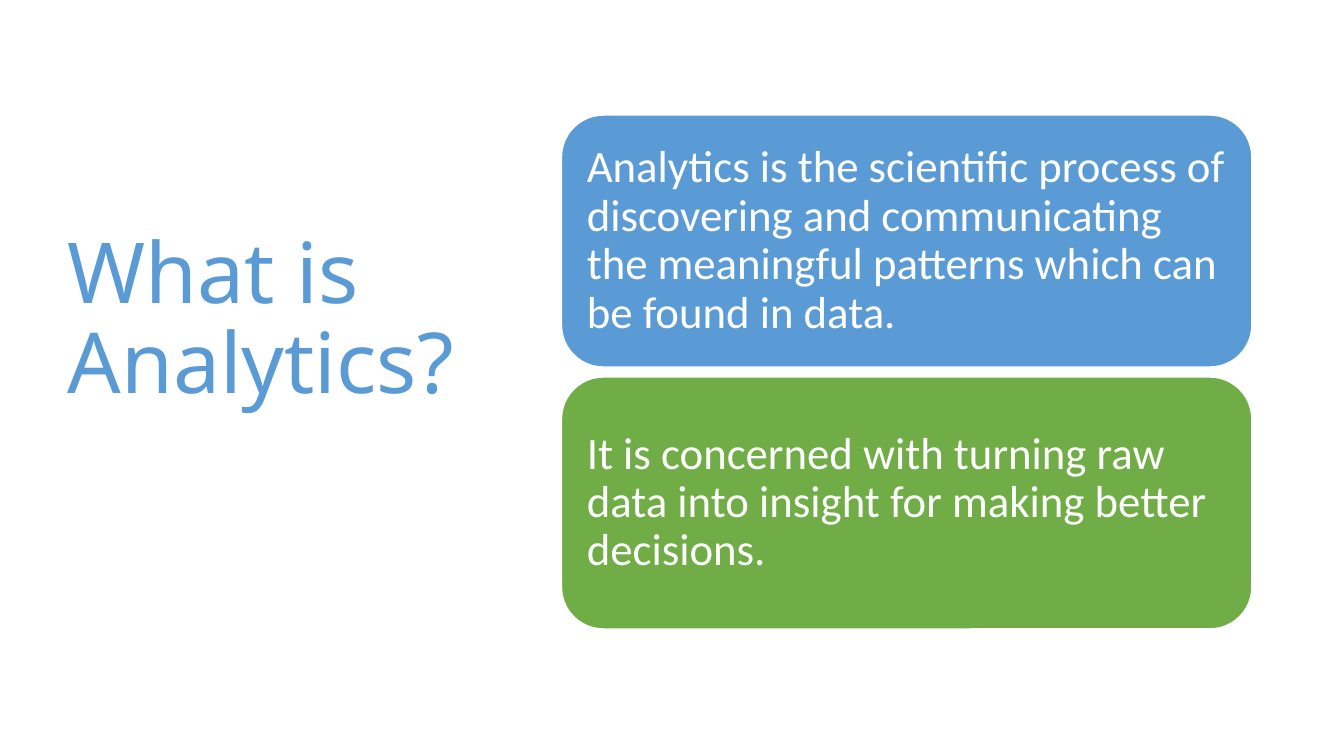
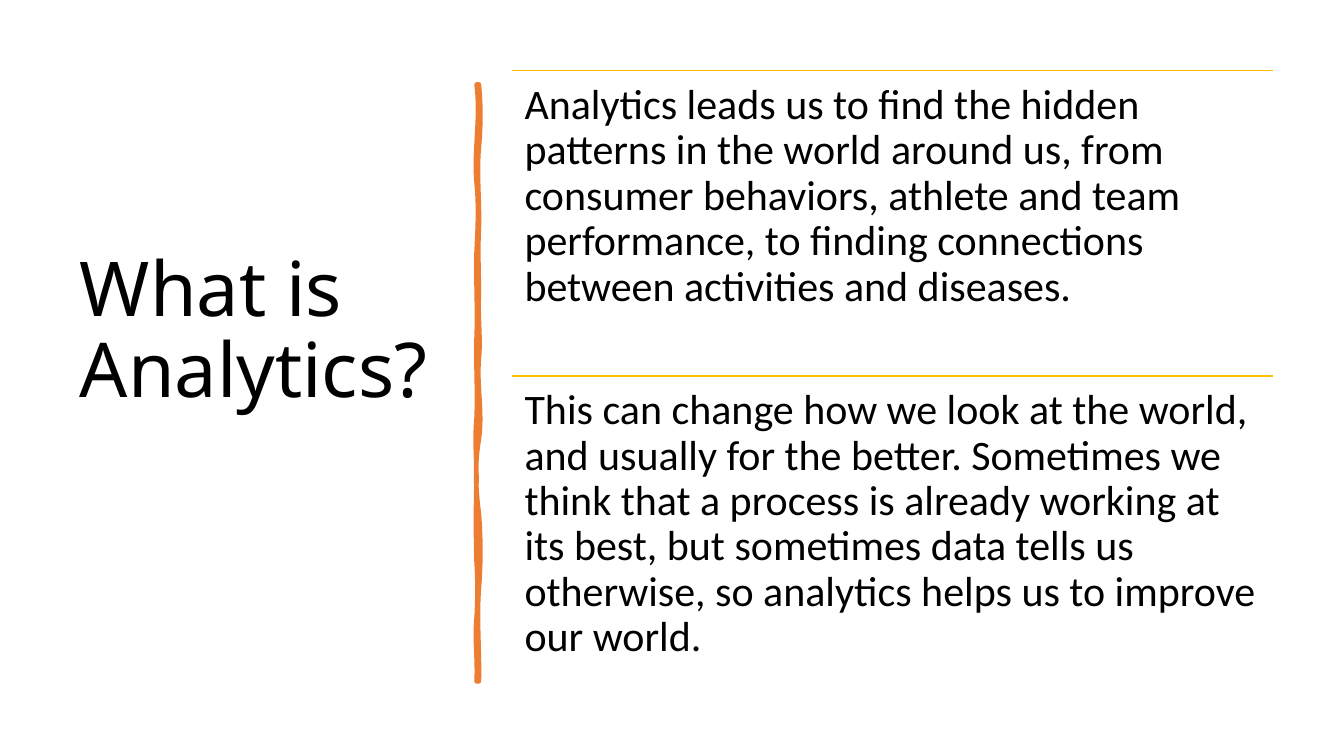
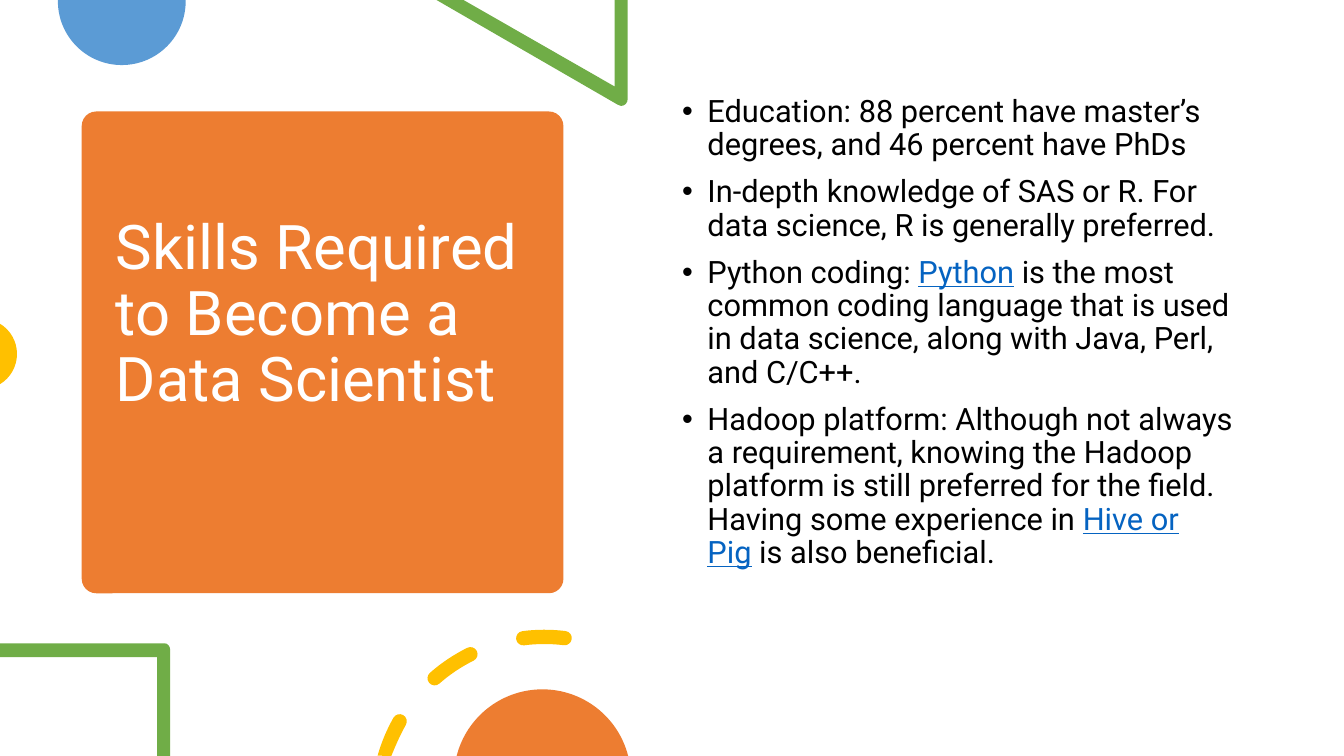
import math
from dataclasses import dataclass

import lxml.etree
import pptx
import pptx.dml.color
import pptx.enum.shapes
import pptx.enum.text
import pptx.oxml.ns
import pptx.util

Cm = pptx.util.Cm
Pt = pptx.util.Pt
qualified = pptx.oxml.ns.qn
Point = tuple[float, float]
Segment = list[Point]

BLUE, GREEN, ORANGE, YELLOW = "5B9BD5", "70AD47", "ED7D31", "FFC000"
BLACK, WHITE, LINK = "000000", "FFFFFF", "0563C1"
SLIDE_WIDTH, SLIDE_HEIGHT = 33.87, 19.05
FIXED_SPACE = chr(160)


@dataclass(frozen=True)
class Frame:
    left: float
    top: float
    width: float
    height: float

    def lengths(self) -> tuple:
        return Cm(self.left), Cm(self.top), Cm(self.width), Cm(self.height)


@dataclass(frozen=True)
class Style:
    font: str
    size: float
    color: str


@dataclass(frozen=True)
class Card:
    text: str
    color: str


@dataclass(frozen=True)
class Words:
    text: str
    linked: bool = False


@dataclass(frozen=True)
class Wave:
    first_x: float
    second_x: float
    end_x: float
    end_y: float


@dataclass(frozen=True)
class Contour:
    start: Point
    segments: list[Segment]


@dataclass(frozen=True)
class Disc:
    center: Point
    radius: float
    start: float
    end: float
    color: str


@dataclass(frozen=True)
class Dash:
    start: float
    end: float
    clipped: bool = False


CARDS = [
    Card("Analytics is the scientific process of discovering and communicating "
         "the meaningful patterns which can be found in data.", BLUE),
    Card("It is concerned with turning raw data into insight for making better "
         "decisions.", GREEN),
]
STATEMENTS = [
    "Analytics leads us to find the hidden patterns in the world around us, from "
    "consumer behaviors, athlete and team performance, to finding connections "
    "between activities and diseases.",
    "This can change how we look at the world, and usually for the better. "
    "Sometimes we think that a process is already working at its best, but "
    "sometimes data tells us otherwise, so analytics helps us to improve our world.",
]
SKILLS = [
    [Words("Education: 88 percent have master’s degrees, and 46 percent have PhDs")],
    [Words("In-depth knowledge of SAS or R. For data science, R is generally "
           "preferred.")],
    [Words("Python coding:" + FIXED_SPACE), Words("Python", True),
     Words(FIXED_SPACE + "is the most common coding language that is used in data "
           "science, along with Java, Perl, and C/C++.")],
    [Words("Hadoop platform: Although not always a requirement, knowing the Hadoop "
           "platform is still preferred for the field. Having some experience in"
           + FIXED_SPACE),
     Words("Hive or Pig", True), Words(FIXED_SPACE + "is also beneficial.")],
]
BAR_START = (12.07, 2.13)
BAR_WAVES = [
    Wave(12.12, 12.12, 12.07, 3.71),
    Wave(12.01, 12.09, 12.07, 5.74),
    Wave(12.04, 12.07, 12.07, 7.47),
    Wave(12.04, 12.12, 12.07, 9.04),
    Wave(12.01, 12.17, 12.07, 11.07),
    Wave(11.96, 11.99, 12.07, 12.95),
    Wave(12.12, 12.12, 12.07, 14.83),
    Wave(12.01, 12.09, 12.07, 17.17),
    Wave(12.05, 12.03, 12.01, 17.17),
    Wave(12.04, 11.96, 12.01, 15.57),
    Wave(12.04, 12.04, 12.01, 14.15),
    Wave(11.99, 11.99, 12.01, 12.12),
    Wave(12.01, 11.96, 12.01, 10.54),
    Wave(12.04, 11.99, 12.01, 8.51),
    Wave(12.04, 11.99, 12.01, 6.35),
    Wave(12.04, 12.07, 12.01, 4.6),
    Wave(11.94, 12.12, 12.01, 2.13),
]
TRIANGLE = Contour((15.82, 0), [
    [(15.49, 0)], [(15.49, 2.18)], [(11.68, 0)], [(11, 0)], [(15.57, 2.64)],
    [(15.6, 2.67), (15.62, 2.67), (15.65, 2.67)],
    [(15.75, 2.67), (15.82, 2.59), (15.82, 2.49)],
])
CORNER = Contour((4.14, 16.21), [
    [(0, 16.21)], [(0, 16.56)], [(3.96, 16.56)], [(3.96, SLIDE_HEIGHT)],
    [(4.29, SLIDE_HEIGHT)], [(4.29, 16.38)],
    [(4.29, 16.28), (4.22, 16.21), (4.14, 16.21)],
])
DISCS = [
    Disc((3.07, 0.03), 1.61, -1.07, 181.07, BLUE),
    Disc((-0.46, 8.92), 0.89, -59, 59, YELLOW),
    Disc((13.67, 19.6), 2.23, 194.3, 345.7, ORANGE),
]
RING_CENTER, RING_RADIUS, RING_HALF = (13.72, 20.24), 4.19, 0.18
DASHES = [Dash(195.9, 209.5, True), Dash(228.7, 243.6), Dash(262.7, 277)]


def rgb(color: str) -> pptx.dml.color.RGBColor:
    return pptx.dml.color.RGBColor.from_string(color)


def paint(shape, color: str, line: str = "", width: float = 1) -> None:
    shape.shadow.inherit = False
    shape.fill.solid()
    shape.fill.fore_color.rgb = rgb(color)
    if line:
        shape.line.color.rgb = rgb(line)
        shape.line.width = Pt(width)
    else:
        shape.line.fill.background()


def format_span(span, style: Style) -> None:
    span.font.name = style.font
    span.font.size = Pt(style.size)
    span.font.color.rgb = rgb(style.color)


def write(box, text: str, style: Style, inset: float, middle: bool = False) -> None:
    anchors = pptx.enum.text.MSO_ANCHOR
    frame = box.text_frame
    frame.word_wrap = True
    frame.vertical_anchor = anchors.MIDDLE if middle else anchors.TOP
    frame.margin_left = frame.margin_right = Cm(inset)
    frame.margin_top = frame.margin_bottom = Cm(inset)
    frame.text = text
    para = frame.paragraphs[0]
    para.alignment = pptx.enum.text.PP_ALIGN.LEFT
    para.line_spacing = 0.9
    format_span(para.runs[0], style)


def add_title(page, text: str, frame: Frame, style: Style) -> None:
    box = page.shapes.add_textbox(*frame.lengths())
    write(box, text, style, 0.13, middle=True)
    box.text_frame.paragraphs[0].line_spacing = Pt(style.size * 1.07)
    box.text_frame.margin_left = box.text_frame.margin_right = Cm(0.25)
    box.text_frame.margin_bottom = Cm(0.13) + Pt(style.size * 1.24)


def add_rounded(page, frame: Frame, color: str, line: str = ""):
    kind = pptx.enum.shapes.MSO_SHAPE.ROUNDED_RECTANGLE
    box = page.shapes.add_shape(kind, *frame.lengths())
    paint(box, color, line)
    return box


def bend_segments(outline, segments: list[Segment]) -> None:
    steps = iter(list(outline._element.iter(qualified("a:lnTo"))))
    for segment in segments:
        first, *others = [next(steps) for _ in segment]
        if others:
            curve = lxml.etree.Element(qualified("a:cubicBezTo"))
            first.addprevious(curve)
            for step in (first, *others):
                curve.append(step[0])
                step.getparent().remove(step)


def add_outline(page, contours: list[Contour], color: str):
    builder = page.shapes.build_freeform(*map(Cm, contours[0].start))
    for index, contour in enumerate(contours):
        if index:
            builder.move_to(*map(Cm, contour.start))
        points = [point for segment in contour.segments for point in segment]
        builder.add_line_segments([(Cm(x), Cm(y)) for x, y in points], close=True)
    outline = builder.convert_to_shape()
    bend_segments(outline, [part for contour in contours for part in contour.segments])
    paint(outline, color)
    return outline


def add_rule(page, left: float, top: float, width: float) -> None:
    kind = pptx.enum.shapes.MSO_CONNECTOR.STRAIGHT
    rule = page.shapes.add_connector(kind, Cm(left), Cm(top), Cm(left + width), Cm(top))
    rule.line.color.rgb = rgb(YELLOW)
    rule.line.width = Pt(1)
    lxml.etree.SubElement(rule._element.spPr, qualified("a:effectLst"))


def on_circle(center: Point, radius: float, degrees: float) -> Point:
    angle = math.radians(degrees)
    return (center[0] + radius * math.cos(angle), center[1] + radius * math.sin(angle))


def arc(center: Point, radius: float, start: float, end: float) -> list[Segment]:
    count = math.ceil(abs(end - start) / 95)
    sweep = (end - start) / count
    reach = 4 / 3 * math.tan(math.radians(sweep) / 4)
    segments = []
    for index in range(count):
        first = start + index * sweep
        x1, y1 = on_circle(center, radius, first)
        x2, y2 = on_circle(center, radius, first + sweep)
        segments.append([
            (x1 - reach * (y1 - center[1]), y1 + reach * (x1 - center[0])),
            (x2 + reach * (y2 - center[1]), y2 - reach * (x2 - center[0])),
            (x2, y2),
        ])
    return segments


def dash_contour(dash: Dash) -> Contour:
    outer, inner = RING_RADIUS + RING_HALF, RING_RADIUS - RING_HALF
    first = on_circle(RING_CENTER, RING_RADIUS, dash.start)
    last = on_circle(RING_CENTER, RING_RADIUS, dash.end)
    segments = arc(RING_CENTER, outer, dash.start, dash.end)
    segments += arc(last, RING_HALF, dash.end, dash.end + 180)
    segments += arc(RING_CENTER, inner, dash.end, dash.start)
    if not dash.clipped:
        segments += arc(first, RING_HALF, dash.start + 180, dash.start + 360)
    kept = [[(x, min(y, SLIDE_HEIGHT)) for x, y in part] for part in segments]
    return Contour(on_circle(RING_CENTER, outer, dash.start), kept)


def wave_contour(start: Point, waves: list[Wave]) -> Contour:
    segments, y = [], start[1]
    for wave in waves:
        third = (wave.end_y - y) / 3
        segments.append([(wave.first_x, y + third), (wave.second_x, y + 2 * third),
                         (wave.end_x, wave.end_y)])
        y = wave.end_y
    return Contour(start, segments)


def add_bullets(page, frame: Frame, items: list[list[Words]], style: Style) -> None:
    box = page.shapes.add_textbox(*frame.lengths())
    box.text_frame.word_wrap = True
    for index, item in enumerate(items):
        para = box.text_frame.add_paragraph() if index else box.text_frame.paragraphs[0]
        para.line_spacing = 0.9
        para.space_before = Pt(10)
        properties = para._p.get_or_add_pPr()
        properties.set("marL", str(Cm(0.64)))
        properties.set("indent", str(-Cm(0.64)))
        font = lxml.etree.SubElement(properties, qualified("a:buFont"))
        font.set("typeface", "Arial")
        bullet = lxml.etree.SubElement(properties, qualified("a:buChar"))
        bullet.set("char", "•")
        for words in item:
            span = para.add_run()
            span.text = words.text
            format_span(span, style)
            if words.linked:
                span.font.color.rgb = rgb(LINK)
                span.font.underline = True


def build_definition(page) -> None:
    add_title(page, "What is Analytics?", Frame(1.45, 1.73, 10.57, 15.29),
              Style("Noto Sans", 60, BLUE))
    for index, card in enumerate(CARDS):
        frame = Frame(14.15, 2.9 + index * 6.6, 17.4, 6.35)
        box = add_rounded(page, frame, card.color, WHITE)
        write(box, card.text, Style("Calibri", 32, WHITE), 0.33, middle=True)


def build_purpose(page) -> None:
    add_title(page, "What is Analytics?", Frame(1.76, 1.78, 9.5, 15.52),
              Style("Noto Sans", 54, BLACK))
    bar = add_outline(page, [wave_contour(BAR_START, BAR_WAVES)], ORANGE)
    paint(bar, ORANGE, ORANGE, 3.25)
    lxml.etree.SubElement(bar.line._get_or_add_ln(), qualified("a:round"))
    for index, statement in enumerate(STATEMENTS):
        frame = Frame(12.9, 1.78 + index * 7.69, 19.18, 7.69)
        add_rule(page, frame.left, frame.top, frame.width)
        box = page.shapes.add_textbox(*frame.lengths())
        write(box, statement, Style("Calibri", 30, BLACK), 0.32)


def build_skills(page) -> None:
    panel = add_rounded(page, Frame(2.06, 2.81, 12.14, 12.14), ORANGE)
    panel.adjustments[0] = 0.03
    add_title(page, "Skills Required to Become a Data Scientist",
              Frame(2.67, 3.1, 10.95, 11.58), Style("Roboto", 44, WHITE))
    for disc in DISCS:
        start = on_circle(disc.center, disc.radius, disc.start)
        edge = arc(disc.center, disc.radius, disc.start, disc.end)
        add_outline(page, [Contour(start, edge)], disc.color)
    for contour in (TRIANGLE, CORNER):
        add_outline(page, [contour], GREEN)
    add_outline(page, [dash_contour(dash) for dash in DASHES], YELLOW)
    add_bullets(page, Frame(16.94, 2.29, 14.6, 13.59), SKILLS,
                Style("Roboto", 22, BLACK))


def main() -> None:
    deck = pptx.Presentation()
    deck.slide_width, deck.slide_height = Cm(SLIDE_WIDTH), Cm(SLIDE_HEIGHT)
    for build in (build_definition, build_purpose, build_skills):
        build(deck.slides.add_slide(deck.slide_layouts[6]))
    deck.save("out.pptx")


if __name__ == "__main__":
    main()
